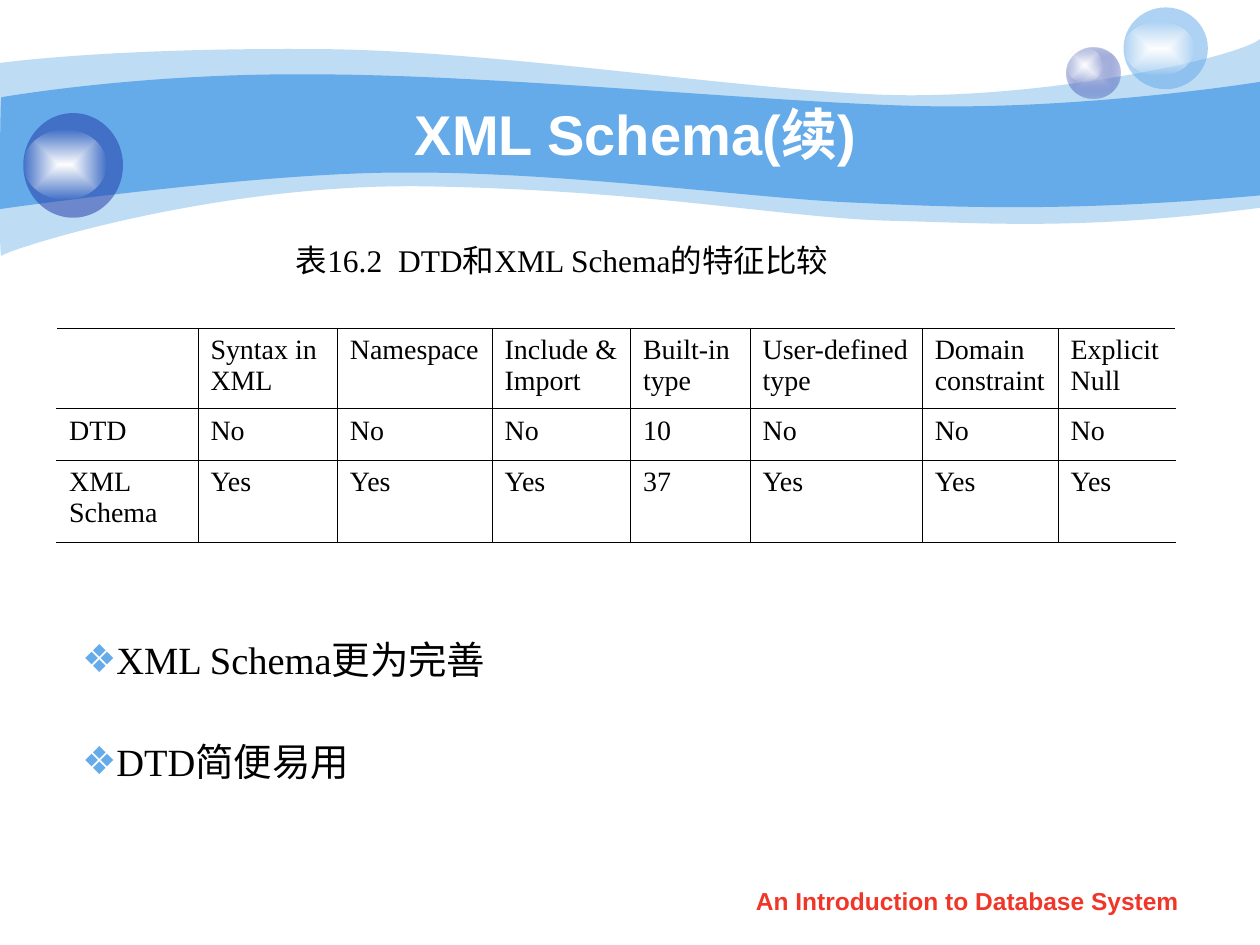
import pptx
import pptx.util
import pptx.dml.color
import pptx.enum.shapes
import pptx.enum.text
import pptx.oxml
import pptx.oxml.ns
from lxml import etree

Cm, Pt = pptx.util.Cm, pptx.util.Pt
RGB = pptx.dml.color.RGBColor
ALIGN = pptx.enum.text.PP_ALIGN
MIDDLE = pptx.enum.text.MSO_ANCHOR.MIDDLE
qn = pptx.oxml.ns.qn

COLORS = {"sky": "65AAE9", "navy": "233DA9", "lilac": "C7CEE9",
          "white": "FFFFFF", "black": "000000", "red": "F03628"}
SANS, SERIF = "Arial", "Times New Roman"

# Each wave: start point, upper curves, right end of the lower edge, lower curves
OUTER_WAVE = (
    (0, 1.27),
    [((0.61, 1.19), (2.72, 0.97), (6.27, 0.99)),
     ((9.8, 0.99), (14.61, 1.78), (17.75, 1.91)),
     ((20.88, 2.03), (24.89, 1.19), (25.4, 0.79))],
    (25.4, 4.19),
    [((21.79, 4.65), (19.99, 4.5), (17.91, 4.45)),
     ((15.8, 4.39), (13.08, 3.84), (8.71, 3.76)),
     ((4.37, 3.66), (0.1, 5.05), (0.03, 5.16)),
     ((-0.03, 5.28), (0, 1.9), (0, 1.27))])
INNER_WAVE = (
    (0.03, 1.96),
    [((0.05, 1.96), (2.79, 1.47), (6.3, 1.5)),
     ((9.8, 1.5), (15.11, 2.03), (18.24, 2.13)),
     ((21.36, 2.24), (24.79, 1.75), (25.4, 1.65))],
    (25.4, 3.94),
    [((21.67, 4.27), (19.43, 4.19), (17.32, 4.09)),
     ((15.21, 4.01), (11.35, 3.45), (8.05, 3.48)),
     ((5.16, 3.48), (-0.05, 4.22), (-0.03, 4.22)),
     ((0, 4.22), (0, 1.96), (0.03, 1.96))])

HEADINGS = ["", "Syntax in\nXML", "Namespace", "Include &\nImport", "Built-in\ntype",
            "User-defined\ntype", "Domain\nconstraint", "Explicit\nNull"]
ROWS = [HEADINGS,
        ["DTD", "No", "No", "No", "10", "No", "No", "No"],
        ["XML Schema", "Yes", "Yes", "Yes", "37", "Yes", "Yes", "Yes"]]
COL_WIDTHS = [2.85, 2.81, 3.12, 2.79, 2.41, 3.47, 2.74, 2.37]
ROW_HEIGHTS = [1.63, 1.03, 1.66]


def rgb(name):
    return RGB.from_string(COLORS[name])


def add_run(p, text, size, font, color, bold=False):
    r = p.add_run()
    r.text = text
    r.font.size, r.font.name, r.font.bold = Pt(size), font, bold
    r.font.color.rgb = rgb(color)


def place(sp, box):
    sp.left, sp.top, sp.width, sp.height = (Cm(v) for v in box)


def solid(sp, color, alpha=100):
    sp.shadow.inherit = False
    sp.line.fill.background()
    sp.fill.solid()
    sp.fill.fore_color.rgb = rgb(color)
    if alpha < 100:
        clr = sp._element.spPr.find(qn("a:solidFill"))[0]
        etree.SubElement(clr, qn("a:alpha"), val=str(alpha * 1000))


def glow(sp, center, edge, edge_alpha):
    """Fill with a gradient that spreads from the middle to a translucent edge."""
    solid(sp, center)
    old = sp._element.spPr.find(qn("a:solidFill"))
    old.getparent().replace(old, pptx.oxml.parse_xml(
        f'<a:gradFill {pptx.oxml.ns.nsdecls("a")} rotWithShape="1"><a:gsLst>'
        f'<a:gs pos="0"><a:srgbClr val="{COLORS[center]}"/></a:gs>'
        f'<a:gs pos="100000"><a:srgbClr val="{COLORS[edge]}">'
        f'<a:alpha val="{edge_alpha * 1000}"/></a:srgbClr></a:gs></a:gsLst>'
        '<a:path path="rect"><a:fillToRect l="50000" t="50000" r="50000" b="50000"/>'
        '</a:path></a:gradFill>'))


def bend(lines):
    """Turn each three line segments into one cubic Bezier segment."""
    for first, second, third in zip(lines[::3], lines[1::3], lines[2::3]):
        curve = etree.Element(qn("a:cubicBezTo"))
        first.addprevious(curve)
        for line in (first, second, third):
            curve.append(line[0])
            line.getparent().remove(line)


def add_wave(s, box, wave, alpha):
    start, upper, corner, lower = wave
    points = [*sum(upper, ()), corner, *sum(lower, ())]
    fb = s.shapes.build_freeform(*(Cm(v) for v in start))
    fb.add_line_segments([(Cm(x), Cm(y)) for x, y in points])
    sp = fb.convert_to_shape(Cm(box[0]), Cm(box[1]))
    lines = list(sp._element.iter(qn("a:lnTo")))
    turn = 3 * len(upper)
    bend(lines[:turn])
    bend(lines[turn + 1:turn + 1 + 3 * len(lower)])
    solid(sp, "sky", alpha)


def add_oval(s, box):
    return s.shapes.add_shape(pptx.enum.shapes.MSO_SHAPE.OVAL, *(Cm(v) for v in box))


def add_ball(s, box, shine_size, shine_drop):
    """Ball with a highlight at its left edge; returns the ball to be filled."""
    ball = add_oval(s, box)
    glow(add_oval(s, (box[0], box[1] + shine_drop, *shine_size)), "white", "white", 0)
    return ball


def add_header(s, box, title):
    x, y = box[:2]
    add_wave(s, box, OUTER_WAVE, 41)
    add_wave(s, box, INNER_WAVE, 100)
    glow(add_ball(s, (x + 21.51, y + 0.97, 1.07, 1.02), (0.71, 0.69), 0), "lilac", "navy", 31)
    solid(add_ball(s, (x + 22.65, y + 0.15, 1.7, 1.65), (1.42, 1.09), 0.28), "sky", 53)
    solid(add_ball(s, (x + 0.47, y + 2.28, 2.01, 2.11), (1.68, 1.42), 0.33), "navy", 53)

    sp = s.shapes.title
    s.shapes._spTree.append(sp._element)  # bring the title in front of the waves
    place(sp, (x + 2.55, y + 1.9, 20.52, 1.58))
    tf = sp.text_frame
    tf.vertical_anchor = MIDDLE
    p = tf.paragraphs[0]
    p.alignment = ALIGN.CENTER
    add_run(p, title, 32, SANS, "white", True)


def add_label(s, box, text, size, font, color, bold=False, wrap=True):
    tf = s.shapes.add_textbox(*(Cm(v) for v in box)).text_frame
    tf.word_wrap = wrap
    p = tf.paragraphs[0]
    p.alignment = ALIGN.CENTER
    add_run(p, text, size, font, color, bold)


def set_borders(cell, left, right):
    tcPr = cell._tc.get_or_add_tcPr()
    sides = (("a:lnL", left), ("a:lnR", right), ("a:lnT", "black"), ("a:lnB", "black"))
    for i, (tag, color) in enumerate(sides):
        ln = etree.Element(qn(tag), w=str(Pt(0.45)))
        fill = etree.SubElement(ln, qn("a:solidFill"))
        etree.SubElement(fill, qn("a:srgbClr"), val=COLORS[color])
        tcPr.insert(i, ln)


def add_comparison(s, left, top):
    box = (left, top, sum(COL_WIDTHS), sum(ROW_HEIGHTS))
    table = s.shapes.add_table(len(ROWS), len(COL_WIDTHS), *(Cm(v) for v in box)).table
    table.first_row = table.horz_banding = False
    for col, width in zip(table.columns, COL_WIDTHS):
        col.width = Cm(width)
    last = len(COL_WIDTHS) - 1
    for i, texts in enumerate(ROWS):
        table.rows[i].height = Cm(ROW_HEIGHTS[i])
        for j, text in enumerate(texts):
            cell = table.cell(i, j)
            cell.fill.background()
            set_borders(cell, "white" if j == 0 else "black", "white" if j == last else "black")
            if not text:
                continue
            for n, line in enumerate(text.split("\n")):
                p = cell.text_frame.add_paragraph() if n else cell.text_frame.paragraphs[0]
                add_run(p, line, 16, SERIF, "black")


def add_conclusions(s, box, items):
    sp = s.placeholders[1]
    place(sp, box)
    tf = sp.text_frame
    tf.auto_size = pptx.enum.text.MSO_AUTO_SIZE.NONE
    tf.vertical_anchor = MIDDLE
    for i, item in enumerate(items):
        p = tf.add_paragraph() if i else tf.paragraphs[0]
        p.line_spacing, p.space_before = 2.2, Pt(0)
        pPr = p._p.get_or_add_pPr()
        pPr.set("marL", "0")
        pPr.set("indent", "0")
        clr = etree.SubElement(pPr, qn("a:buClr"))
        etree.SubElement(clr, qn("a:srgbClr"), val=COLORS["sky"])
        etree.SubElement(pPr, qn("a:buChar"), char="❖")
        add_run(p, item, 22, SERIF, "black")


def main():
    prs = pptx.Presentation()
    prs.slide_width, prs.slide_height = Cm(25.4), Cm(19.05)
    s = prs.slides.add_slide(prs.slide_layouts[1])
    add_header(s, (0, 0, 25.4, 5.3), "XML Schema(续)")
    add_label(s, (5.4, 4.74, 11.86, 1.02), "表16.2  DTD和XML Schema的特征比较",
              18, SERIF, "black", wrap=False)
    add_comparison(s, 1.14, 6.61)
    add_conclusions(s, (1.4, 11.57, 22.91, 4.37), ["XML Schema更为完善", "DTD简便易用"])
    add_label(s, (14.5, 17.73, 10.01, 0.89), "An Introduction to Database System",
              14, SANS, "red", True)
    prs.save("out.pptx")


if __name__ == "__main__":
    main()
